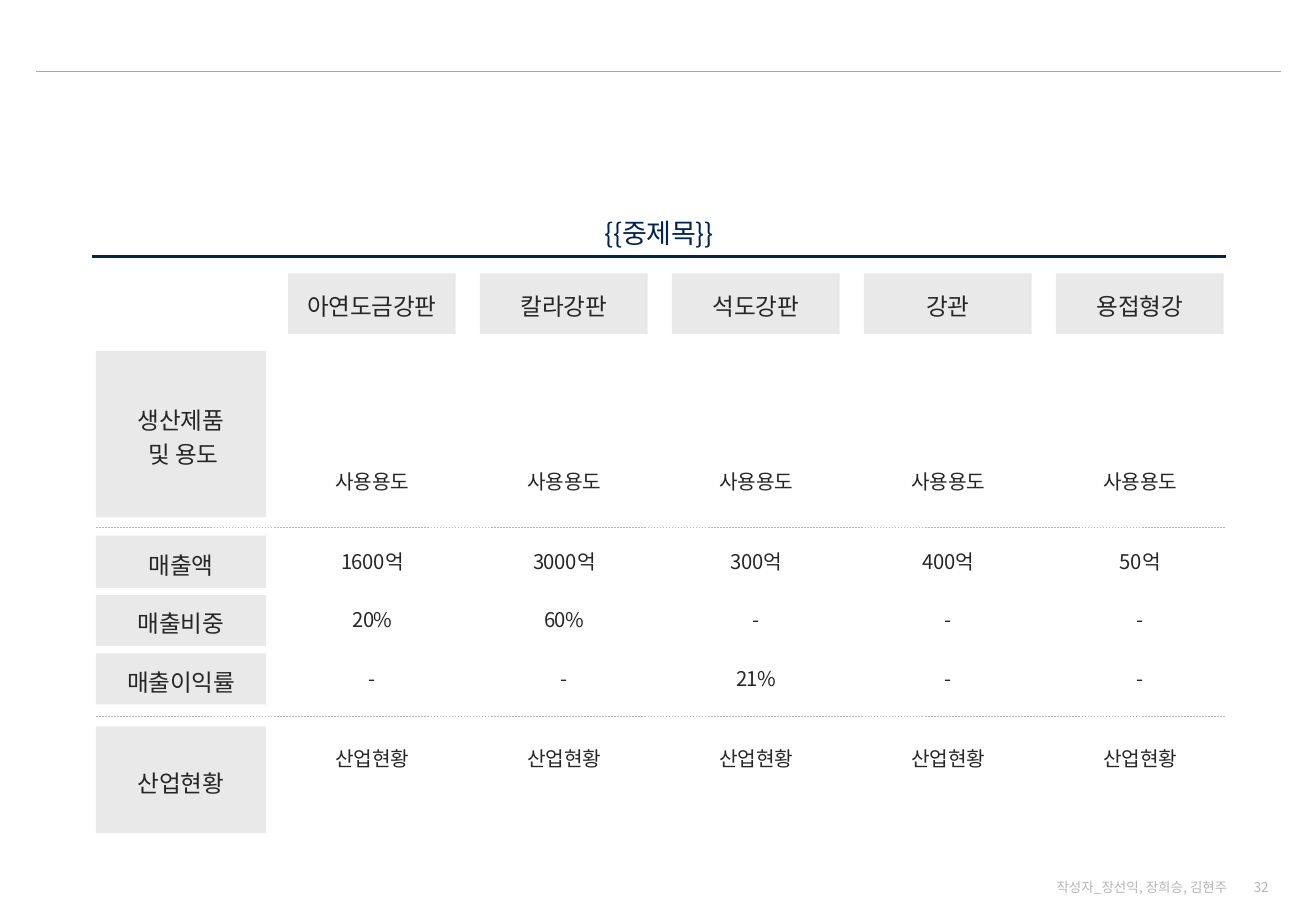
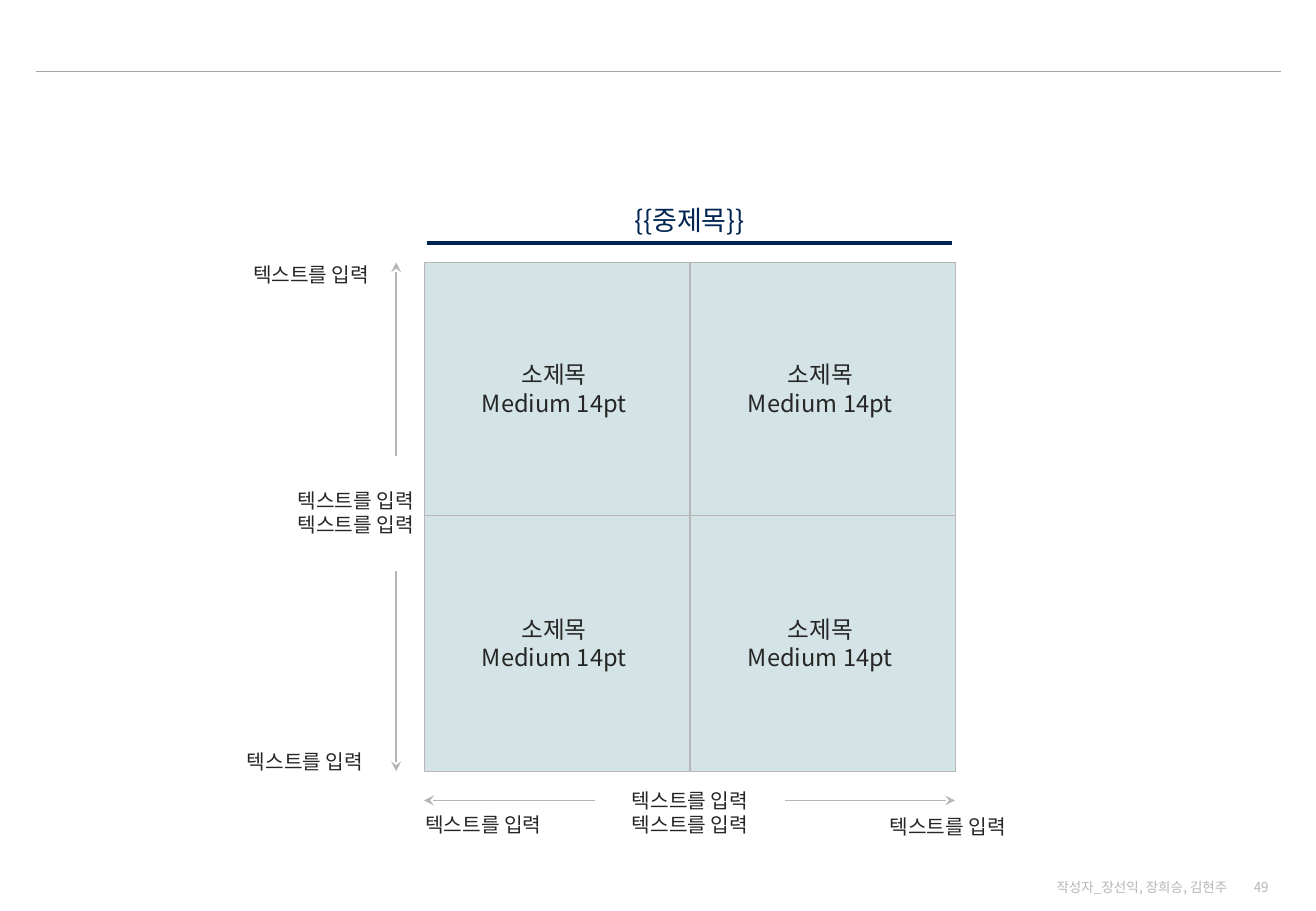
from pptx import Presentation
from pptx import util as u
from pptx.dml.color import RGBColor
from pptx.enum import dml, shapes, text
from pptx.oxml.ns import qn
from lxml import etree

FONT = "Noto Sans CJK KR"
COLORS = {"ink": "262626", "navy": "002452", "gray": "B6B6B6", "rule": "A6A6A6",
          "label": "E9E9E9", "quad": "D4E3E5"}
ALIGN = {"l": text.PP_ALIGN.LEFT, "c": text.PP_ALIGN.CENTER, "r": text.PP_ALIGN.RIGHT}
ANCHOR = {"t": text.MSO_ANCHOR.TOP, "m": text.MSO_ANCHOR.MIDDLE, "b": text.MSO_ANCHOR.BOTTOM}
COLS, ROWS = 108.3, 75


def rgb(name):
    return RGBColor.from_string(COLORS[name])


def write(shape, words, size=12, color="ink", align="c", anchor="m", lead=None,
          space=0, inset=(0.1, 0.05), wrap=True):
    frame = shape.text_frame
    frame.word_wrap = wrap
    frame.vertical_anchor = ANCHOR[anchor]
    frame.margin_left = frame.margin_right = u.Inches(inset[0])
    frame.margin_top = frame.margin_bottom = u.Inches(inset[1])
    for i, line in enumerate(words.split("\n")):
        para = frame.add_paragraph() if i else frame.paragraphs[0]
        para.alignment = ALIGN[align]
        if lead:
            para.line_spacing = lead
        para.text = line
        for run in para.runs:
            run.font.size = u.Pt(size)
            run.font.name = FONT
            run.font.color.rgb = rgb(color)
            props = run._r.get_or_add_rPr()
            etree.SubElement(props, qn("a:ea")).set("typeface", FONT)
            if space:
                props.set("spc", str(round(space * 100)))


class Deck:
    """Shared style and current slide, measured in columns and rows of a grid."""

    def __init__(self):
        self.show = Presentation()
        self.show.slide_width = u.Inches(10.83)
        self.show.slide_height = u.Inches(7.5)
        self.slide = None

    def place(self, *spots):
        units = (self.show.slide_width / COLS, self.show.slide_height / ROWS)
        return [round(spot * units[i % 2]) for i, spot in enumerate(spots)]

    def page(self, number):
        self.slide = self.show.slides.add_slide(self.show.slide_layouts[6])
        self.line((3, 5.9), (105.4, 5.9), "rule", 0.75)
        foot = dict(size=8, color="gray", align="r")
        self.text((101.3, 72.2, 4.1, 1.6), str(number), **foot)
        self.text((85.2, 72.2, 16.8, 1.6), "작성자_장선익, 장희승, 김현주", **foot)

    def text(self, box, words, **style):
        write(self.slide.shapes.add_textbox(*self.place(*box)), words, **style)

    def rect(self, box, words, fill="label", edge=None, width=0.25, **style):
        shape = self.slide.shapes.add_shape(shapes.MSO_SHAPE.RECTANGLE, *self.place(*box))
        shape.shadow.inherit = False
        shape.fill.solid()
        shape.fill.fore_color.rgb = rgb(fill)
        if edge:
            shape.line.color.rgb = rgb(edge)
            shape.line.width = u.Pt(width)
        else:
            shape.line.fill.background()
        write(shape, words, **style)

    def line(self, start, end, color="gray", width=1, dash=False, arrow=False):
        link = self.slide.shapes.add_connector(
            shapes.MSO_CONNECTOR.STRAIGHT, *self.place(*start, *end))
        link.line.color.rgb = rgb(color)
        link.line.width = u.Pt(width)
        if dash:
            link.line.dash_style = dml.MSO_LINE.DASH
        if arrow:
            tail = etree.SubElement(link.line._get_or_add_ln(), qn("a:tailEnd"))
            tail.set("type", "stealth")
        etree.SubElement(link._element.spPr, qn("a:effectLst"))

    def title(self, left, top, width):
        self.text((left, top, width, 3.7), "{{중제목}}", size=16, color="navy",
                  anchor="b", space=-0.2)
        inset, base = width * 0.005, top + 3.8
        self.line((left + inset, base), (left + width - inset, base), "navy", 2)


def matrix(deck):
    deck.page(32)
    deck.title(7.1, 17.3, 94.3)
    label = dict(size=14, lead=1.2, space=-0.2)
    for i, name in enumerate(("아연도금강판", "칼라강판", "석도강판", "강관", "용접형강")):
        deck.rect((23.7 + 15.8 * i, 22.5, 13.8, 5), name, **label)
    use, state = ["사용용도"] * 5, ["산업현황"] * 5
    rows = (
        ("생산제품\n 및 용도", 28.9, 13.7, 37.1, 5.4, use),
        ("매출액", 44.1, 4.3, 44.3, 4.1, ("1600억", "3000억", "300억", "400억", "50억")),
        ("매출비중", 49, 4.2, 49.1, 4.1, ("20%", "60%", "-", "-", "-")),
        ("매출이익률", 53.8, 4.2, 53.9, 4.1, ("-", "-", "21%", "-", "-")),
        ("산업현황", 59.8, 8.8, 59.9, 5.4, state),
    )
    for name, top, high, y, h, cells in rows:
        deck.rect((7.9, top, 14, high), name, **label)
        for i, cell in enumerate(cells):
            deck.text((24.5 + 15.8 * i, y, 12.3, h), cell, lead=0.9, space=-0.2)
    for y in (43.4, 58.95):
        deck.line((7.9, y), (100.8, y), width=0.25, dash=True)


def quads(deck):
    deck.page(49)
    deck.title(34.9, 16.2, 43.7)
    for top, high in ((21.6, 20.8), (42.4, 21.1)):
        for left in (34.9, 56.8):
            deck.rect((left, top, 21.85, high), "소제목 \nMedium 14pt ", fill="quad",
                      edge="gray", size=14, inset=(0.06, 0.03), wrap=False)
    for start, end in (((49, 65.9), (34.9, 65.9)), ((64.6, 65.9), (78.6, 65.9)),
                       ((32.6, 37.5), (32.6, 21.6)), ((32.6, 47), (32.6, 63.5))):
        deck.line(start, end, arrow=True)
    note = "텍스트를 입력"
    for box, count, align in (
            ((15.4, 21.6, 15, 2), 1, "r"), ((14.9, 61.7, 15, 1.8), 1, "r"),
            ((24.5, 40.2, 9.6, 4), 2, "l"), ((50, 64.9, 13.6, 4), 2, "c"),
            ((35, 66.9, 9.9, 2), 1, "l"), ((73.2, 67, 9.9, 2), 1, "l")):
        deck.text(box, "\n".join([note] * count), align=align, anchor="t",
                  inset=(0, 0), wrap=False)


def main():
    deck = Deck()
    matrix(deck)
    quads(deck)
    deck.show.save("out.pptx")


if __name__ == "__main__":
    main()
